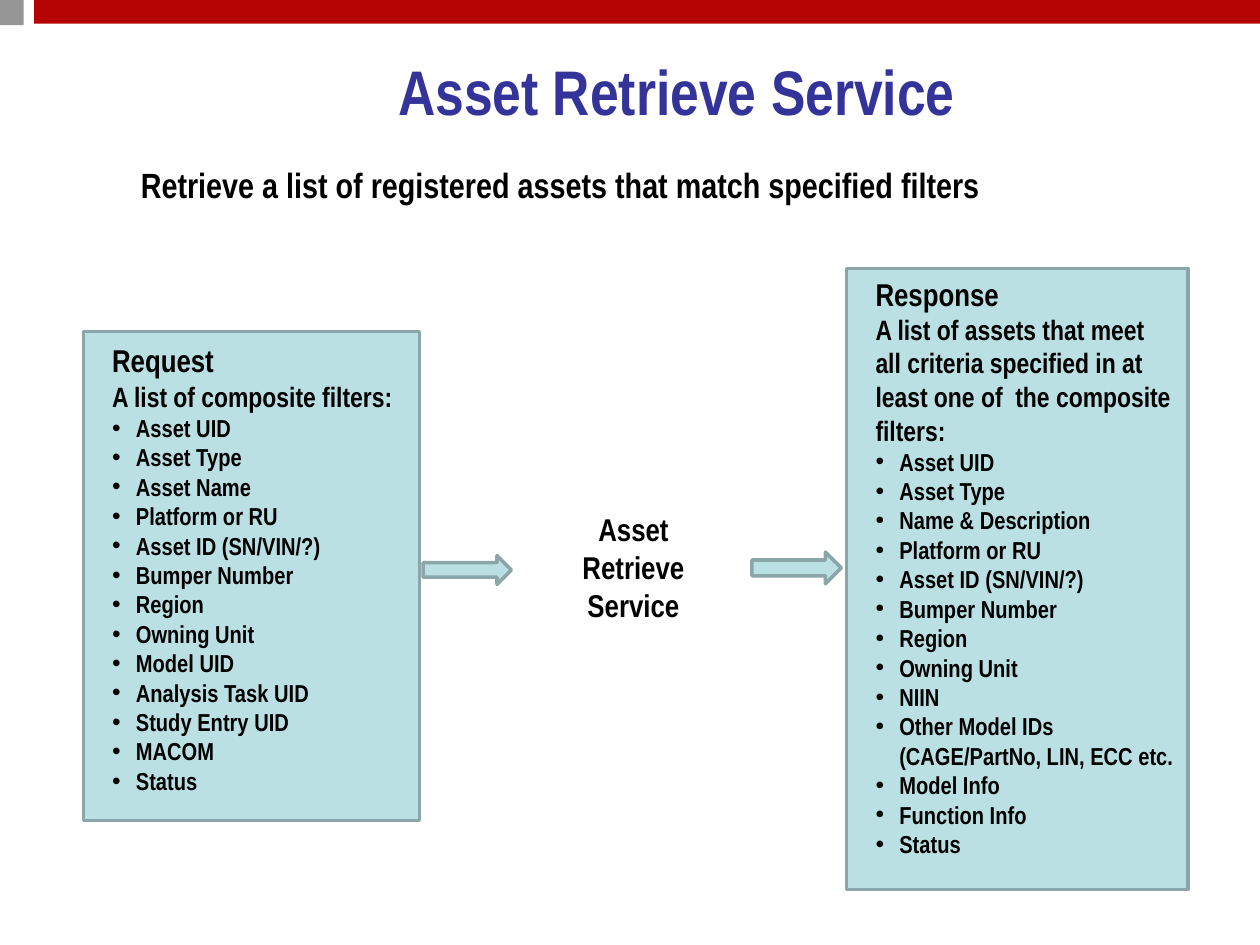
from dataclasses import dataclass

from lxml import etree
from pptx import Presentation
from pptx.dml.color import RGBColor
from pptx.enum.shapes import MSO_SHAPE
from pptx.enum.text import MSO_ANCHOR, PP_ALIGN
from pptx.oxml.ns import qn
from pptx.util import Cm, Pt

RECT, ARROW = MSO_SHAPE.RECTANGLE, MSO_SHAPE.RIGHT_ARROW
LEFT, CENTER = PP_ALIGN.LEFT, PP_ALIGN.CENTER
TOP, MIDDLE = MSO_ANCHOR.TOP, MSO_ANCHOR.MIDDLE


@dataclass(frozen=True)
class Theme:
    font: str = "Arial Narrow"
    bar: RGBColor = RGBColor(0xB5, 0x03, 0x03)
    corner: RGBColor = RGBColor(0x96, 0x96, 0x96)
    title: RGBColor = RGBColor(0x33, 0x33, 0x99)
    text: RGBColor = RGBColor(0, 0, 0)
    panel: RGBColor = RGBColor(0xBB, 0xE0, 0xE3)
    outline: RGBColor = RGBColor(0x8A, 0xA6, 0xA8)
    title_size: int = 36
    subtitle_size: int = 20
    heading_size: int = 18
    intro_size: int = 16
    item_size: int = 14
    line_width: int = 2


THEME = Theme()
BULLET_INDENT = Cm(0.48)

COMMON_FIELDS = ["Platform or RU", "Asset ID (SN/VIN/?)", "Bumper Number",
                 "Region", "Owning Unit"]
REQUEST_FIELDS = ["Asset UID", "Asset Type", "Asset Name", *COMMON_FIELDS,
                  "Model UID", "Analysis Task UID", "Study Entry UID",
                  "MACOM", "Status"]
RESPONSE_FIELDS = ["Asset UID", "Asset Type", "Name & Description",
                   *COMMON_FIELDS, "NIIN",
                   "Other Model IDs (CAGE/PartNo, LIN, ECC etc.",
                   "Model Info", "Function Info", "Status"]


def place(box):
    return [Cm(v) for v in box]


def add_block(s, kind, box, fill, line=None):
    sp = s.shapes.add_shape(kind, *place(box))
    sp.shadow.inherit = False
    sp.fill.solid()
    sp.fill.fore_color.rgb = fill
    if line is None:
        sp.line.fill.background()
    else:
        sp.line.color.rgb = line
        sp.line.width = Pt(THEME.line_width)


def add_outlined(s, kind, box):
    add_block(s, kind, box, THEME.panel, THEME.outline)


def make_bullet(p):
    pPr = p._p.get_or_add_pPr()
    pPr.set("marL", str(BULLET_INDENT))
    pPr.set("indent", str(-BULLET_INDENT))
    etree.SubElement(pPr, qn("a:buFont")).set("typeface", "Arial")
    etree.SubElement(pPr, qn("a:buChar")).set("char", "•")


def add_text(s, box, lines, align=LEFT, anchor=TOP, wrap=True,
             color=THEME.text):
    """Add a text box; each line is (text, size, bulleted)."""
    tf = s.shapes.add_textbox(*place(box)).text_frame
    tf.word_wrap = wrap
    tf.vertical_anchor = anchor
    for i, (text, size, bulleted) in enumerate(lines):
        p = tf.add_paragraph() if i else tf.paragraphs[0]
        p.alignment = align
        if bulleted:
            make_bullet(p)
        r = p.add_run()
        r.text = text
        r.font.name = THEME.font
        r.font.size = Pt(size)
        r.font.bold = True
        r.font.color.rgb = color


def add_message(s, box, heading, intro, fields):
    add_text(s, box, [(heading, THEME.heading_size, False),
                      (intro, THEME.intro_size, False),
                      *((field, THEME.item_size, True) for field in fields)])


def main():
    prs = Presentation()
    prs.slide_width, prs.slide_height = Cm(25.4), Cm(19.05)
    s = prs.slides.add_slide(prs.slide_layouts[6])

    add_block(s, RECT, (0.69, 0, 24.71, 0.48), THEME.bar)
    add_block(s, RECT, (-0.03, 0, 0.51, 0.51), THEME.corner)
    add_text(s, (4.65, 1.07, 17.98, 1.5),
             [("Asset Retrieve Service", THEME.title_size, False)],
             CENTER, MIDDLE, color=THEME.title)
    add_text(s, (2.59, 3.18, 17.55, 1.12),
             [("Retrieve a list of registered assets that match specified filters",
               THEME.subtitle_size, False)], wrap=False)

    add_outlined(s, RECT, (1.68, 6.68, 6.78, 9.86))
    add_message(s, (2.01, 6.76, 6.38, 9.5), "Request",
                "A list of composite filters:", REQUEST_FIELDS)

    add_outlined(s, ARROW, (8.53, 11.2, 1.78, 0.58))
    add_text(s, (11.4, 10.16, 2.74, 2.57),
             [("Asset Retrieve Service", THEME.heading_size, False)], CENTER)
    add_outlined(s, ARROW, (15.16, 11.13, 1.8, 0.64))

    add_outlined(s, RECT, (17.07, 5.41, 6.88, 12.52))
    add_message(s, (17.4, 5.41, 6.55, 12.14), "Response",
                "A list of assets that meet all criteria specified in at "
                "least one of  the composite filters:", RESPONSE_FIELDS)

    prs.save("out.pptx")


if __name__ == "__main__":
    main()
